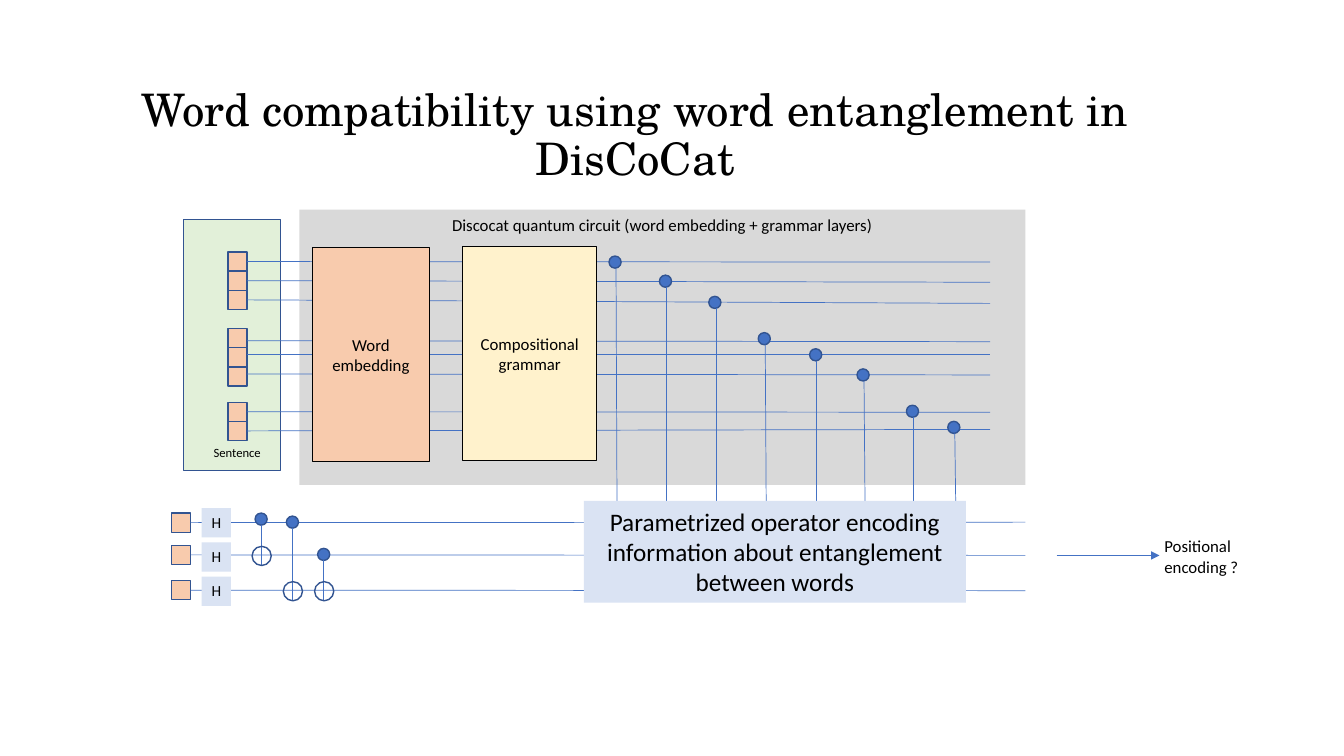
import pptx
import pptx.util
import pptx.dml.color
import pptx.enum.shapes
import pptx.enum.text
import pptx.oxml
import pptx.oxml.ns

Inches = pptx.util.Inches
Pt = pptx.util.Pt
RGBColor = pptx.dml.color.RGBColor
Shape = pptx.enum.shapes.MSO_SHAPE
Align = pptx.enum.text.PP_ALIGN
Anchor = pptx.enum.text.MSO_ANCHOR

BLACK = RGBColor(0x00, 0x00, 0x00)
BLUE = RGBColor(0x44, 0x72, 0xC4)
NAVY = RGBColor(0x32, 0x54, 0x91)
GREEN = RGBColor(0xE2, 0xF0, 0xD9)
PEACH = RGBColor(0xF8, 0xCB, 0xAD)
CREAM = RGBColor(0xFF, 0xF2, 0xCC)
GREY = RGBColor(0xD9, 0xD9, 0xD9)
PALE = RGBColor(0xDA, 0xE3, 0xF3)

prs = pptx.Presentation()
prs.slide_width, prs.slide_height = Inches(13.33), Inches(7.5)
slide = prs.slides.add_slide(prs.slide_layouts[5])


def draw(kind, box, fill=None, edge=None, width=1, text="", size=12,
         align=Align.CENTER, anchor=Anchor.TOP):
    """Add a preset shape with optional fill, outline and text."""
    shape = slide.shapes.add_shape(kind, *map(Inches, box))
    shape.shadow.inherit = False
    for part, color in ((shape.fill, fill), (shape.line.fill, edge)):
        if color is None:
            part.background()
        else:
            part.solid()
            part.fore_color.rgb = color
    if edge is not None:
        shape.line.width = Pt(width)
    if text:
        frame = shape.text_frame
        frame.word_wrap, frame.vertical_anchor = True, anchor
        para = frame.paragraphs[0]
        para.text, para.alignment = text, align
        style = {"name": "Calibri", "size": Pt(size)}
        for key, value in style.items():
            setattr(para.font, key, value)
        para.font.color.rgb = BLACK
    return shape


def wire(x1, y1, x2, y2):
    """Add a thin blue straight line."""
    line = slide.shapes.add_connector(
        pptx.enum.shapes.MSO_CONNECTOR.STRAIGHT,
        *map(Inches, (x1, y1, x2, y2)))
    line.line.color.rgb = BLUE
    line.line.width = Pt(0.5)
    props = line._element.spPr
    props.append(pptx.oxml.parse_xml(
        "<a:effectLst %s/>" % pptx.oxml.ns.nsdecls("a")))
    return line


# Title
title = slide.shapes.title
place = {"left": 0.55, "top": 0.63, "width": 11.5, "height": 1.45}
for key, value in place.items():
    setattr(title, key, Inches(value))
title.text_frame.auto_size = pptx.enum.text.MSO_AUTO_SIZE.NONE
title.text_frame.vertical_anchor = Anchor.MIDDLE
head = title.text_frame.paragraphs[0]
head.text = "Word compatibility using word entanglement in DisCoCat"
head.alignment, head.line_spacing = Align.CENTER, 0.9
for key, value in {"name": "TeX Gyre Schola", "size": Pt(32)}.items():
    setattr(head.font, key, value)
head.font.color.rgb = BLACK

# Sentence panel with one square per word qubit
CELL = 0.19
draw(Shape.RECTANGLE, (1.82, 2.18, 0.96, 2.49), GREEN, NAVY)
cells = []
for top, count in ((2.5, 3), (3.26, 3), (3.99, 2)):
    for row in range(count):
        y = top + row * CELL
        square = draw(Shape.RECTANGLE, (2.26, y, CELL, CELL), PEACH, NAVY)
        cells.append((square, y + CELL / 2))

# Circuit panel
draw(Shape.RECTANGLE, (2.97, 2.08, 7.2, 2.73), GREY,
     text="Discocat quantum circuit (word embedding + grammar layers)")

# Word wires, joined where they meet the middle of a square
levels = ((2.6, 2.6), (2.8, 2.8), (2.98, 3.01), (3.38, 3.39),
          (3.52, 3.52), (3.71, 3.72), (4.09, 4.09), (4.26, 4.26))
for (square, middle), (start, end) in zip(cells, levels):
    line = wire(2.45, start, 9.82, end)
    if abs(start - middle) < 0.02:
        line.begin_connect(square, 3)

# Circuit layers
for box, fill, text in (
        ((3.1, 2.46, 1.16, 2.12), PEACH, "Word embedding"),
        ((4.59, 2.45, 1.33, 2.12), CREAM, "Compositional grammar")):
    draw(Shape.RECTANGLE, box, fill, BLACK, 0.75, text, anchor=Anchor.MIDDLE)

# Position qubits and their wires
for top, level in ((5.09, 5.18), (5.41, 5.51), (5.76, 5.86)):
    square = draw(Shape.RECTANGLE, (1.7, top, CELL, CELL), PEACH, NAVY)
    wire(1.89, level, 10.17, level).begin_connect(square, 3)

# Controlled gates: dot, stem and open target
DOT = 0.12
for left, top, target in ((2.84, 5.12, 5.77), (3.15, 5.44, 5.77),
                          (2.53, 5.09, 5.42)):
    draw(Shape.OVAL, (left, top, DOT, DOT), BLUE, NAVY)
    x = left + DOT / 2
    wire(x, top + DOT, x, target + CELL)
    draw(Shape.OVAL, (left - 0.03, target, CELL, CELL), edge=NAVY)

# Controls dropping from the word wires to the operator
for left, top, shift in (
        (6.04, 2.54, 0.01), (6.54, 2.73, 0), (7.03, 2.94, 0),
        (7.52, 3.3, 0.01), (8.03, 3.46, 0), (8.5, 3.66, 0.01),
        (8.99, 4.02, 0), (9.4, 4.18, 0.01)):
    draw(Shape.OVAL, (left, top, DOT, DOT), BLUE, NAVY)
    x = left + DOT / 2 + 0.01
    wire(x, top + DOT, x + shift, 5.06)

# Output arrow
arrow = wire(10.48, 5.51, 11.5, 5.51)
arrow.line._get_or_add_ln().append(pptx.oxml.parse_xml(
    '<a:tailEnd %s type="triangle"/>' % pptx.oxml.ns.nsdecls("a")))

# Labels
for text, box, size, wrap in (
        ("Sentence", (2.02, 4.36, 0.68, 0.25), 9, False),
        ("Positional encoding ?", (11.45, 5.27, 1.01, 0.5), 12, True)):
    label = slide.shapes.add_textbox(*map(Inches, box))
    label.text_frame.word_wrap = wrap
    para = label.text_frame.paragraphs[0]
    para.text = text
    for key, value in {"name": "Calibri", "size": Pt(size)}.items():
        setattr(para.font, key, value)
    para.font.color.rgb = BLACK

# Operator and Hadamard gates
draw(Shape.RECTANGLE, (5.79, 4.97, 3.79, 1.01), PALE, size=18,
     text="Parametrized operator encoding information about entanglement "
          "between words")
for row in range(3):
    draw(Shape.RECTANGLE, (2, 5.04 + row * 0.34, 0.29, 0.29), PALE,
         text="H", size=11, align=Align.LEFT)

prs.save("out.pptx")
